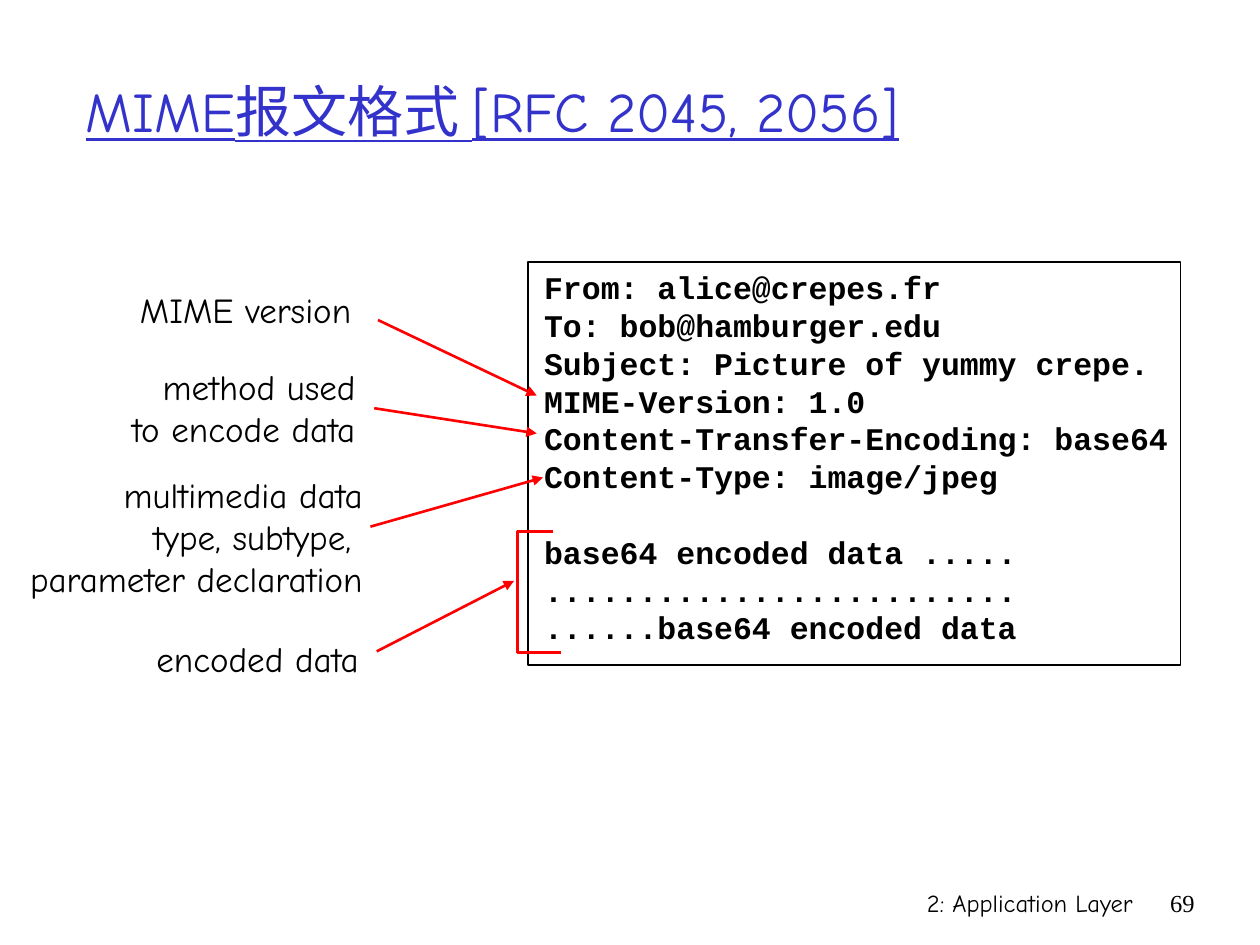
from pptx import Presentation
from pptx.dml.color import RGBColor
from pptx.enum.shapes import MSO_CONNECTOR, MSO_SHAPE
from pptx.enum.text import MSO_ANCHOR, PP_ALIGN
from pptx.oxml.ns import qn
from pptx.util import Inches, Pt
from lxml import etree

LEFT, CENTER, RIGHT = PP_ALIGN.LEFT, PP_ALIGN.CENTER, PP_ALIGN.RIGHT
COLORS = {"text": "000000", "title": "3333CC", "arrow": "FF0000"}
HAND, MONO, SERIF = "Comic Neue", "Courier New", "Times New Roman"

prs = Presentation()
prs.slide_width, prs.slide_height = Inches(10), Inches(7.5)
s = prs.slides.add_slide(prs.slide_layouts[5])


def add_text(text, x, y, w, h, font=HAND, size=20, bold=False, align=LEFT, wrap=True):
    tf = s.shapes.add_textbox(Inches(x), Inches(y), Inches(w), Inches(h)).text_frame
    tf.word_wrap = wrap
    tf.text = text
    for p in tf.paragraphs:
        p.alignment = align
        p.line_spacing = Pt(size * 1.2)
        p.font.name, p.font.size, p.font.bold = font, Pt(size), bold
        p.font.color.rgb = RGBColor.from_string(COLORS["text"])
    return tf


def style_line(sp, color, width):
    sp.line.color.rgb = RGBColor.from_string(COLORS[color])
    sp.line.width = Pt(width)


# Title
title = s.shapes.title
title.left, title.top = Inches(0.58), Inches(0.25)
title.width, title.height = Inches(9.17), Inches(1.25)
tf = title.text_frame
tf.vertical_anchor = MSO_ANCHOR.MIDDLE
p = tf.paragraphs[0]
p.alignment = LEFT
r = p.add_run()
r.text = "MIME报文格式 [RFC 2045, 2056]"
r.font.name, r.font.size, r.font.underline = HAND, Pt(32), True
r.font.color.rgb = RGBColor.from_string(COLORS["title"])

# Footer
add_text("2: Application Layer", 5.92, 7, 3.17, 0.5, size=14, align=RIGHT)
add_text("69", 9.08, 7, 0.5, 0.5, font=SERIF, size=14, align=RIGHT)

# Message with its frame
header = [
    "From: alice@crepes.fr",
    "To: bob@hamburger.edu",
    "Subject: Picture of yummy crepe.",
    "MIME-Version: 1.0",
    "Content-Transfer-Encoding: base64",
    "Content-Type: image/jpeg",
]
body = [
    "base64 encoded data .....",
    ".........................",
    "......base64 encoded data",
]
message = add_text("\n".join(header + body), 4.22, 2.08, 5.44, 3.4,
                   font=MONO, size=18, bold=True)
message.paragraphs[len(header)].space_before = Pt(21.6)

frame = s.shapes.add_shape(MSO_SHAPE.RECTANGLE, Inches(4.19), Inches(2.08),
                           Inches(5.18), Inches(3.2))
frame.shadow.inherit = False
frame.fill.background()
style_line(frame, "text", 1)

# Labels, each with its arrow: text, box, alignment, arrow start, arrow end
labels = [
    ("MIME version", (1.01, 2.24, 1.88, 0.44), CENTER, (3, 2.54), (4.26, 3.14)),
    ("method used\nto encode data", (0.93, 2.85, 1.99, 0.77), RIGHT,
     (2.97, 3.24), (4.26, 3.44)),
    ("multimedia data\ntype, subtype, \nparameter declaration",
     (0.12, 3.71, 2.86, 1.1), RIGHT, (2.94, 4.18), (4.31, 3.79)),
    ("encoded data", (1.14, 5.01, 1.81, 0.44), CENTER, (2.99, 5.17), (4.08, 4.61)),
]
for text, box, align, start, end in labels:
    add_text(text, *box, align=align, wrap=False)
    arrow = s.shapes.add_connector(MSO_CONNECTOR.STRAIGHT,
                                   *(Inches(v) for v in start + end))
    style_line(arrow, "arrow", 1.5)
    etree.SubElement(arrow.line._get_or_add_ln(), qn("a:tailEnd"), type="triangle")
    etree.SubElement(arrow._element.spPr, qn("a:effectLst"))

# Bracket around the encoded data
outline = s.shapes.build_freeform(Inches(4.39), Inches(4.22))
outline.add_line_segments(
    [(Inches(x), Inches(y)) for x, y in [(4.11, 4.22), (4.11, 5.18), (4.45, 5.18)]],
    close=False)
bracket = outline.convert_to_shape()
bracket.shadow.inherit = False
bracket.fill.background()
style_line(bracket, "arrow", 1.5)

prs.save("out.pptx")
